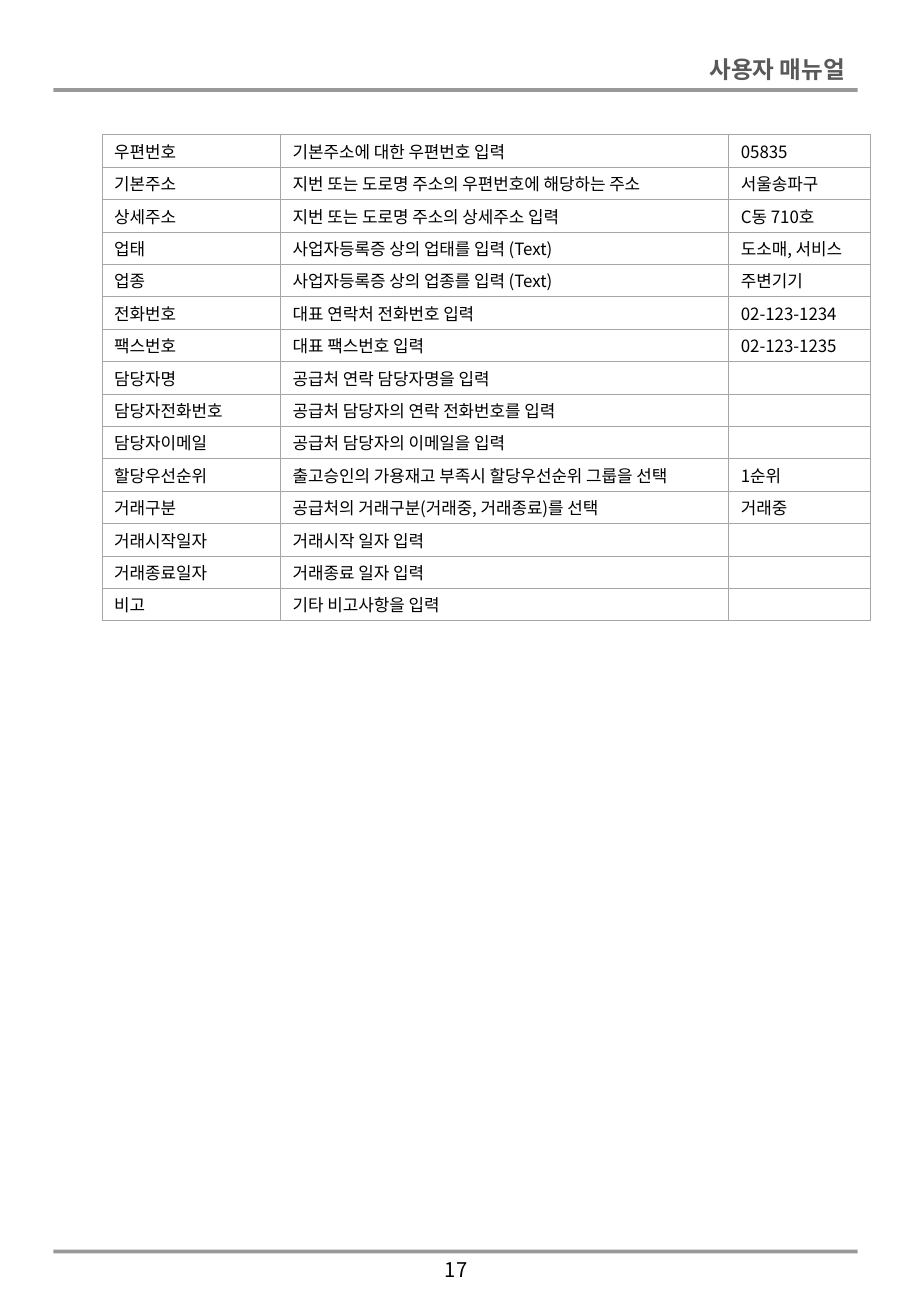
from lxml.etree import SubElement
from pptx import Presentation
from pptx.dml.color import RGBColor
from pptx.enum.shapes import MSO_CONNECTOR as Connector
from pptx.enum.text import MSO_ANCHOR as Anchor, PP_ALIGN as Align
from pptx.oxml.ns import qn
from pptx.util import Inches, Pt

# Content
HEADING = "사용자 매뉴얼"
PAGE_NUMBER = "17"
FIELDS = [
    ("우편번호", "기본주소에 대한 우편번호 입력", "05835"),
    ("기본주소", "지번 또는 도로명 주소의 우편번호에 해당하는 주소", "서울송파구"),
    ("상세주소", "지번 또는 도로명 주소의 상세주소 입력", "C동 710호"),
    ("업태", "사업자등록증 상의 업태를 입력 (Text)", "도소매, 서비스"),
    ("업종", "사업자등록증 상의 업종를 입력 (Text)", "주변기기"),
    ("전화번호", "대표 연락처 전화번호 입력", "02-123-1234"),
    ("팩스번호", "대표 팩스번호 입력", "02-123-1235"),
    ("담당자명", "공급처 연락 담당자명을 입력", ""),
    ("담당자전화번호", "공급처 담당자의 연락 전화번호를 입력", ""),
    ("담당자이메일", "공급처 담당자의 이메일을 입력", ""),
    ("할당우선순위", "출고승인의 가용재고 부족시 할당우선순위 그룹을 선택", "1순위"),
    ("거래구분", "공급처의 거래구분(거래중, 거래종료)를 선택", "거래중"),
    ("거래시작일자", "거래시작 일자 입력", ""),
    ("거래종료일자", "거래종료 일자 입력", ""),
    ("비고", "기타 비고사항을 입력", ""),
]


class Theme:
    font = "Noto Sans CJK KR"
    text = "000000"
    heading = "595959"
    rule = "000000"
    rule_opacity = 40
    border = "A6A6A6"
    heading_size = 14
    page_size = 12
    table_size = 10
    rule_width = 2.25
    border_width = 0.5


# Layout in inches
PAGE_WIDTH, PAGE_HEIGHT = 7.5, 10.83
RULE_LEFT, RULE_RIGHT = 0.44, 7.06
RULE_TOPS = (0.74, 10.3)
TABLE_LEFT, TABLE_TOP, TABLE_HEIGHT = 0.84, 1.11, 4
COLUMN_WIDTHS = (1.47, 3.69, 1.17)
CELL_MARGIN = 0.03


def write_text(frame, text, size, color=Theme.text, bold=False,
               align=Align.LEFT, anchor=Anchor.TOP):
    frame.word_wrap = True
    frame.vertical_anchor = anchor
    paragraph = frame.paragraphs[0]
    paragraph.alignment = align
    run = paragraph.add_run()
    run.text = text
    font = run.font
    font.name, font.size, font.bold = Theme.font, Pt(size), bold
    font.color.rgb = RGBColor.from_string(color)
    SubElement(font._element, qn("a:ea"), typeface=Theme.font)


def add_rule(slide, top):
    rule = slide.shapes.add_connector(
        Connector.STRAIGHT, Inches(RULE_LEFT), Inches(top), Inches(RULE_RIGHT), Inches(top))
    rule.line.width = Pt(Theme.rule_width)
    rule.line.color.rgb = RGBColor.from_string(Theme.rule)
    color = rule.line._ln.find(".//" + qn("a:srgbClr"))
    SubElement(color, qn("a:alpha"), val=str(Theme.rule_opacity * 1000))
    SubElement(rule._element.spPr, qn("a:effectLst"))


def format_cell(cell, text):
    properties = cell._tc.get_or_add_tcPr()
    for side in ("a:lnL", "a:lnR", "a:lnT", "a:lnB"):
        line = SubElement(properties, qn(side), w=str(Pt(Theme.border_width)))
        fill = SubElement(line, qn("a:solidFill"))
        SubElement(fill, qn("a:srgbClr"), val=Theme.border)
    cell.fill.background()
    cell.margin_top = cell.margin_bottom = Inches(CELL_MARGIN)
    cell.vertical_anchor = Anchor.MIDDLE
    paragraph = cell.text_frame.paragraphs[0]
    if text:
        write_text(cell.text_frame, text, Theme.table_size, anchor=Anchor.MIDDLE)
    else:
        # Keeps an empty cell as low as the filled ones
        SubElement(paragraph._p, qn("a:endParaRPr"), sz=str(Theme.table_size * 100))


def add_field_table(slide):
    table = slide.shapes.add_table(
        len(FIELDS), len(COLUMN_WIDTHS), Inches(TABLE_LEFT), Inches(TABLE_TOP),
        Inches(sum(COLUMN_WIDTHS)), Inches(TABLE_HEIGHT)).table
    table.first_row = table.horz_banding = False
    for column, width in zip(table.columns, COLUMN_WIDTHS):
        column.width = Inches(width)
    for row, field in zip(table.rows, FIELDS):
        row.height = Inches(TABLE_HEIGHT / len(FIELDS))
        for cell, text in zip(row.cells, field):
            format_cell(cell, text)


def main():
    presentation = Presentation()
    presentation.slide_width = Inches(PAGE_WIDTH)
    presentation.slide_height = Inches(PAGE_HEIGHT)
    slide = presentation.slides.add_slide(presentation.slide_layouts[5])

    # Header
    title = slide.shapes.title
    title.left, title.top = Inches(5.28), Inches(0.4)
    title.width, title.height = Inches(1.78), Inches(0.34)
    write_text(title.text_frame, HEADING, Theme.heading_size, color=Theme.heading,
               bold=True, align=Align.RIGHT)

    # Header and footer rules
    for top in RULE_TOPS:
        add_rule(slide, top)

    # Page number
    page_box = slide.shapes.add_textbox(Inches(3.48), Inches(10.3), Inches(0.55), Inches(0.3))
    write_text(page_box.text_frame, PAGE_NUMBER, Theme.page_size, align=Align.CENTER)

    # Field table
    add_field_table(slide)
    presentation.save("out.pptx")


if __name__ == "__main__":
    main()
